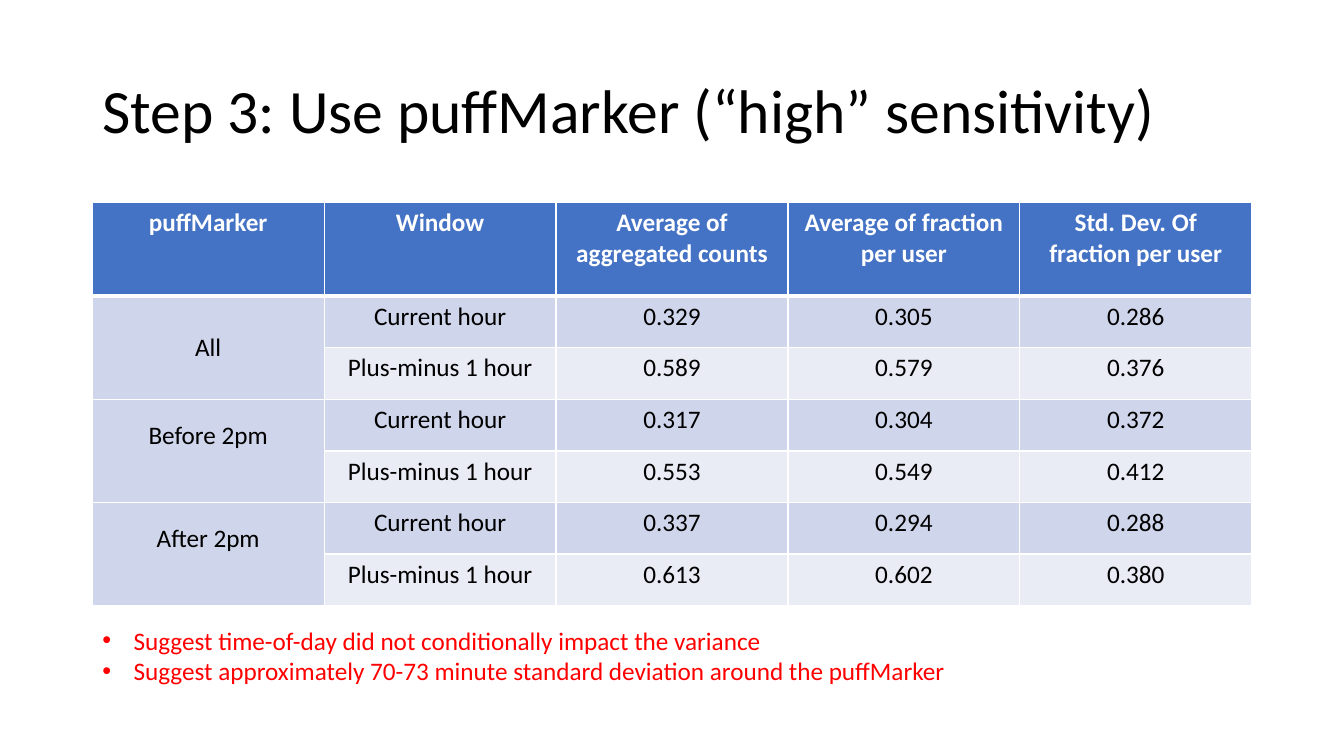
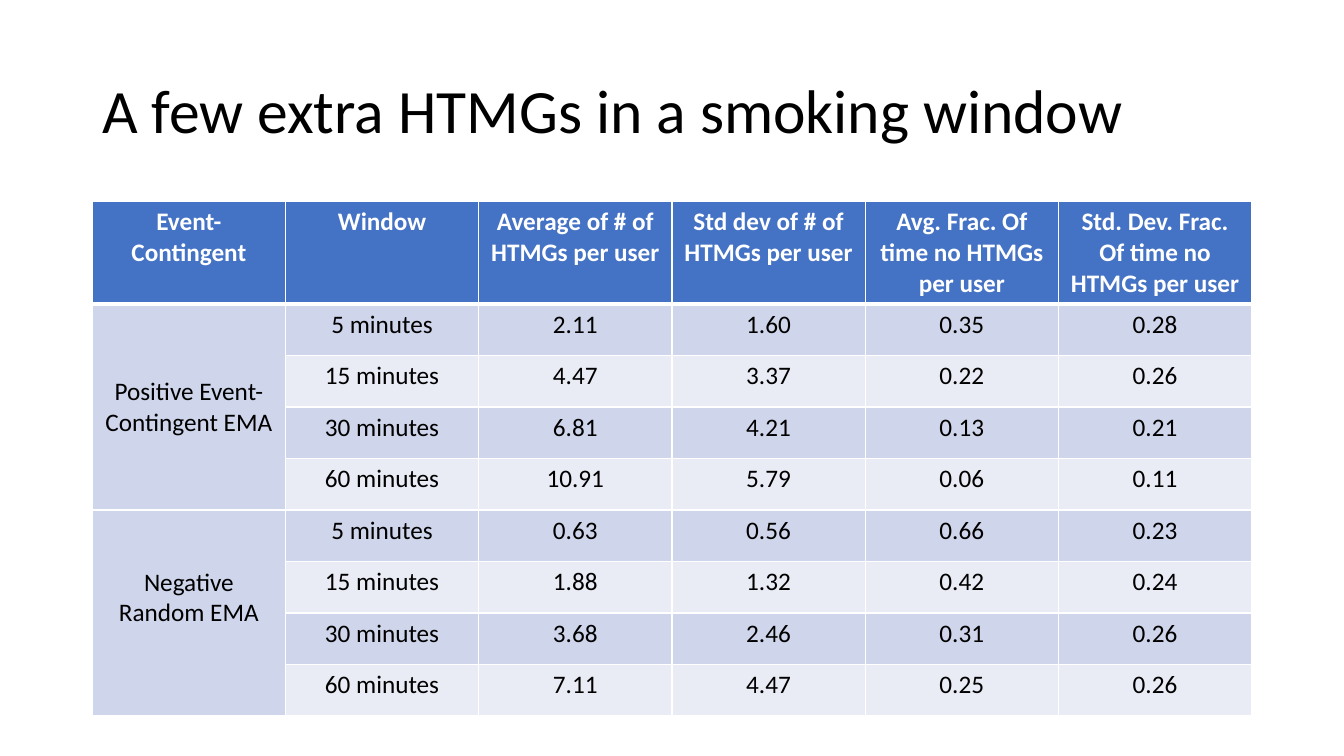
from dataclasses import dataclass

from lxml.etree import SubElement
from pptx import Presentation
from pptx.dml.color import RGBColor
from pptx.enum.text import MSO_ANCHOR, MSO_AUTO_SIZE, PP_ALIGN
from pptx.oxml.ns import qn
from pptx.util import Emu, Inches, Pt


@dataclass(frozen=True)
class Theme:
    font: str = "Calibri"
    title_size: int = 44
    text_size: int = 18
    ink: str = "000000"
    paper: str = "FFFFFF"
    header: str = "4472C4"
    bands: tuple = ("CFD5EA", "E9EBF5")
    note: str = "FF0000"
    thin: float = 1
    thick: float = 3


@dataclass(frozen=True)
class Box:
    left: int
    top: int
    width: int
    height: int


@dataclass(frozen=True)
class Group:
    """Rows sharing one merged label; a raised label sits half a line higher."""
    label: str
    rows: tuple
    raised: bool = False


THEME = Theme()
SLIDE_W, SLIDE_H = Inches(13.33), Inches(7.5)
GRID_ROWS = 75
CONTENT_W = Inches(11.5)
HEADER_H = Inches(0.93)
LINE_H = Inches(0.3)
CELL_PAD = Inches(0.05)
BULLET_INDENT = Inches(0.31)
LAYOUT_CONTENT, LAYOUT_TITLE_ONLY = 1, 5


def region(row, rows):
    """A centred content-wide box, measured in grid rows."""
    unit = SLIDE_H / GRID_ROWS
    return Box(Emu((SLIDE_W - CONTENT_W) // 2), Emu(int(row * unit)),
               CONTENT_W, Emu(int(rows * unit)))


TITLE_BOX = region(4, 14.5)
NOTES_BOX = region(61.5, 7.1)


def place(shape, box):
    shape.left, shape.top = box.left, box.top
    shape.width, shape.height = box.width, box.height


def style(p, size, color, bold=False, align=PP_ALIGN.LEFT):
    p.alignment = align
    p.font.name = THEME.font
    p.font.size = Pt(size)
    p.font.bold = bold
    p.font.color.rgb = RGBColor.from_string(color)


# Title
def add_title(s, box, text):
    title = s.shapes.title
    place(title, box)
    tf = title.text_frame
    tf.text = text
    tf.vertical_anchor = MSO_ANCHOR.MIDDLE
    p = tf.paragraphs[0]
    p.line_spacing = 0.9
    style(p, THEME.title_size, THEME.ink)


# Bulleted notes
def add_notes(s, box, notes):
    body = s.placeholders[1]
    place(body, box)
    tf = body.text_frame
    tf.text = "\n".join(notes)
    tf.auto_size = MSO_AUTO_SIZE.NONE
    for p in tf.paragraphs:
        p.space_before = Pt(0)
        style(p, THEME.text_size, THEME.note)
        pPr = p._p.get_or_add_pPr()
        pPr.set("marL", str(BULLET_INDENT))
        pPr.set("indent", str(-BULLET_INDENT))


# Table
def set_borders(cell, top, bottom):
    tcPr = cell._tc.get_or_add_tcPr()
    widths = {"lnL": THEME.thin, "lnR": THEME.thin, "lnT": top, "lnB": bottom}
    for side, width in widths.items():
        ln = SubElement(tcPr, qn(f"a:{side}"), w=str(Pt(width)))
        fill = SubElement(ln, qn("a:solidFill"))
        SubElement(fill, qn("a:srgbClr"), val=THEME.paper)


def format_cell(cell, text, row, fill):
    is_header = row == 0
    set_borders(cell, THEME.thick if row == 1 else THEME.thin,
                THEME.thick if is_header else THEME.thin)
    cell.fill.solid()
    cell.fill.fore_color.rgb = RGBColor.from_string(fill)
    cell.text = text
    for p in cell.text_frame.paragraphs:
        style(p, THEME.text_size, THEME.paper if is_header else THEME.ink,
              is_header, PP_ALIGN.CENTER)


def add_grouped_table(s, box, headers, groups):
    n_rows = sum(len(g.rows) for g in groups)
    table = s.shapes.add_table(n_rows + 1, len(headers), box.left, box.top,
                               box.width, box.height).table
    table.horz_banding = False
    for column in table.columns:
        column.width = Emu(box.width // len(headers))
    for row in table.rows:
        row.height = Emu((box.height - HEADER_H) // n_rows)
    table.rows[0].height = HEADER_H

    for c, text in enumerate(headers):
        format_cell(table.cell(0, c), text, 0, THEME.header)

    first = 1
    for g in groups:
        for i, values in enumerate(g.rows):
            r = first + i
            label = g.label if i == 0 else ""
            format_cell(table.cell(r, 0), label, r, THEME.bands[0])
            for c, text in enumerate(values, 1):
                format_cell(table.cell(r, c), text, r, THEME.bands[i % 2])
        head = table.cell(first, 0)
        head.merge(table.cell(first + len(g.rows) - 1, 0))
        head.vertical_anchor = MSO_ANCHOR.MIDDLE
        if g.raised:
            head.margin_bottom = CELL_PAD + LINE_H
        first += len(g.rows)


def add_table_slide(prs, title, headers, groups, table_box, notes=()):
    layout = LAYOUT_CONTENT if notes else LAYOUT_TITLE_ONLY
    s = prs.slides.add_slide(prs.slide_layouts[layout])
    add_title(s, TITLE_BOX, title)
    add_grouped_table(s, table_box, headers, groups)
    if notes:
        add_notes(s, NOTES_BOX, notes)


def windowed(windows, *values):
    """Put each window name in front of its row of values."""
    return tuple((w, *v.split()) for w, v in zip(windows, values))


HOURS = ("Current hour", "Plus-minus 1 hour")
MINUTES = ("5 minutes", "15 minutes", "30 minutes", "60 minutes")


def main():
    prs = Presentation()
    prs.slide_width, prs.slide_height = SLIDE_W, SLIDE_H

    add_table_slide(
        prs, "Step 3: Use puffMarker (“high” sensitivity)",
        ("puffMarker", "Window", "Average of aggregated counts",
         "Average of fraction per user", "Std. Dev. Of\nfraction per user"),
        (Group("All", windowed(HOURS, "0.329 0.305 0.286",
                               "0.589 0.579 0.376")),
         Group("Before 2pm", windowed(HOURS, "0.317 0.304 0.372",
                                      "0.553 0.549 0.412"), raised=True),
         Group("After 2pm", windowed(HOURS, "0.337 0.294 0.288",
                                     "0.613 0.602 0.380"), raised=True)),
        region(20.1, 40),
        ("Suggest time-of-day did not conditionally impact the variance",
         "Suggest approximately 70-73 minute standard deviation around "
         "the puffMarker"))

    add_table_slide(
        prs, "A few extra HTMGs in a smoking window",
        ("Event-Contingent", "Window", "Average of # of HTMGs per user",
         "Std dev of # of HTMGs per user",
         "Avg. Frac. Of time no HTMGs per user",
         "Std. Dev. Frac. Of time no HTMGs per user"),
        (Group("Positive Event-Contingent EMA",
               windowed(MINUTES, "2.11 1.60 0.35 0.28", "4.47 3.37 0.22 0.26",
                        "6.81 4.21 0.13 0.21", "10.91 5.79 0.06 0.11")),
         Group("Negative Random EMA",
               windowed(MINUTES, "0.63 0.56 0.66 0.23", "1.88 1.32 0.42 0.24",
                        "3.68 2.46 0.31 0.26", "7.11 4.47 0.25 0.26"),
               raised=True)),
        region(20, 50.2))

    prs.save("out.pptx")


if __name__ == "__main__":
    main()
